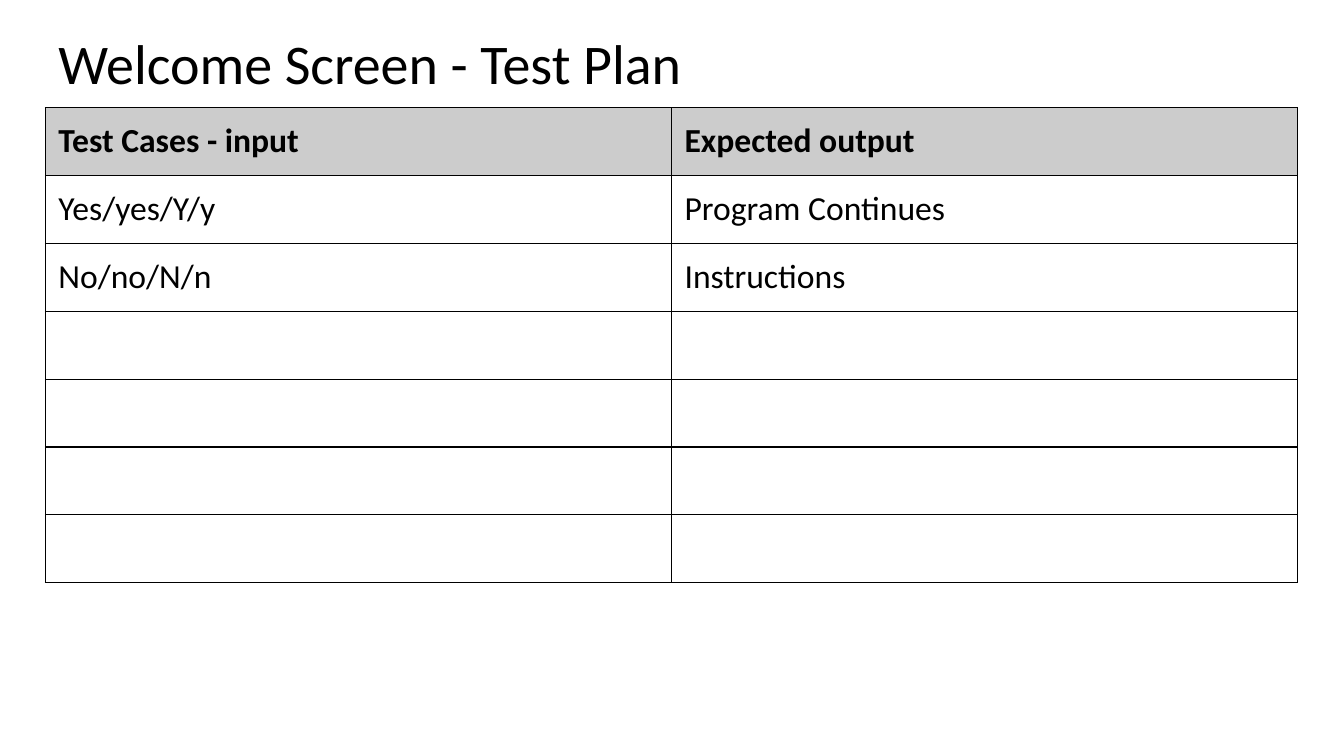
"""Build the welcome screen test plan slide."""
from dataclasses import dataclass

from lxml import etree
from pptx import Presentation
from pptx import util as u
from pptx.dml.color import RGBColor
from pptx.enum import text
from pptx.oxml.ns import qn

FONT = "Calibri"
BLACK = "000000"
INSET = u.Inches(0.13)
LEFT, WIDTH = u.Inches(0.45), u.Inches(12.42)
ROW_HEIGHT = u.Inches(0.673)
ROW_COUNT = 7


@dataclass
class TestRow:
    case: str = ""
    output: str = ""
    fill: str = ""
    bold: bool = False


TEST_ROWS = [
    TestRow("Test Cases - input", "Expected output", "CCCCCC", True),
    TestRow("Yes/yes/Y/y", "Program Continues"),
    TestRow("No/no/N/n", "Instructions"),
]
TEST_ROWS += [TestRow()] * (ROW_COUNT - len(TEST_ROWS))


def color(value: str) -> RGBColor:
    return RGBColor.from_string(value)


def format_text(p, size: int, bold: bool = False) -> None:
    p.font.name, p.font.size, p.font.bold = FONT, u.Pt(size), bold
    p.font.color.rgb = color(BLACK)


def set_insets(box) -> None:
    box.margin_left = box.margin_right = INSET
    box.margin_top = box.margin_bottom = INSET


def add_borders(cell) -> None:
    tc_pr = cell._tc.get_or_add_tcPr()
    for i, side in enumerate(("lnL", "lnR", "lnT", "lnB")):
        ln = etree.Element(qn(f"a:{side}"), w=str(u.Pt(1)))
        fill = etree.SubElement(ln, qn("a:solidFill"))
        etree.SubElement(fill, qn("a:srgbClr"), val=BLACK)
        tc_pr.insert(i, ln)


def fill_cell(cell, words: str, row: TestRow) -> None:
    set_insets(cell)
    if row.fill:
        cell.fill.solid()
        cell.fill.fore_color.rgb = color(row.fill)
    else:
        cell.fill.background()
    add_borders(cell)
    if words:
        cell.text = words
    format_text(cell.text_frame.paragraphs[0], 24, row.bold)


def add_title(s, words: str) -> None:
    sp = s.shapes.title
    sp.left, sp.top, sp.width, sp.height = LEFT, u.Inches(0.24), WIDTH, u.Inches(0.84)
    tf = sp.text_frame
    tf.text = words
    tf.word_wrap = True
    tf.auto_size = text.MSO_AUTO_SIZE.NONE
    tf.vertical_anchor = text.MSO_ANCHOR.MIDDLE
    set_insets(tf)
    p = tf.paragraphs[0]
    p.alignment, p.line_spacing = text.PP_ALIGN.LEFT, 0.9
    format_text(p, 40)


def add_test_table(s, rows: list[TestRow]) -> None:
    frame = s.shapes.add_table(len(rows), 2, LEFT, u.Inches(1.07),
                               WIDTH, ROW_HEIGHT * len(rows))
    table = frame.table
    table.first_row = table.horz_banding = False
    for i, row in enumerate(rows):
        table.rows[i].height = ROW_HEIGHT
        for j, words in enumerate((row.case, row.output)):
            fill_cell(table.cell(i, j), words, row)


prs = Presentation()
prs.slide_width, prs.slide_height = u.Inches(13.33), u.Inches(7.5)
s = prs.slides.add_slide(prs.slide_layouts[5])
add_title(s, "Welcome Screen - Test Plan")
add_test_table(s, TEST_ROWS)
prs.save("out.pptx")
